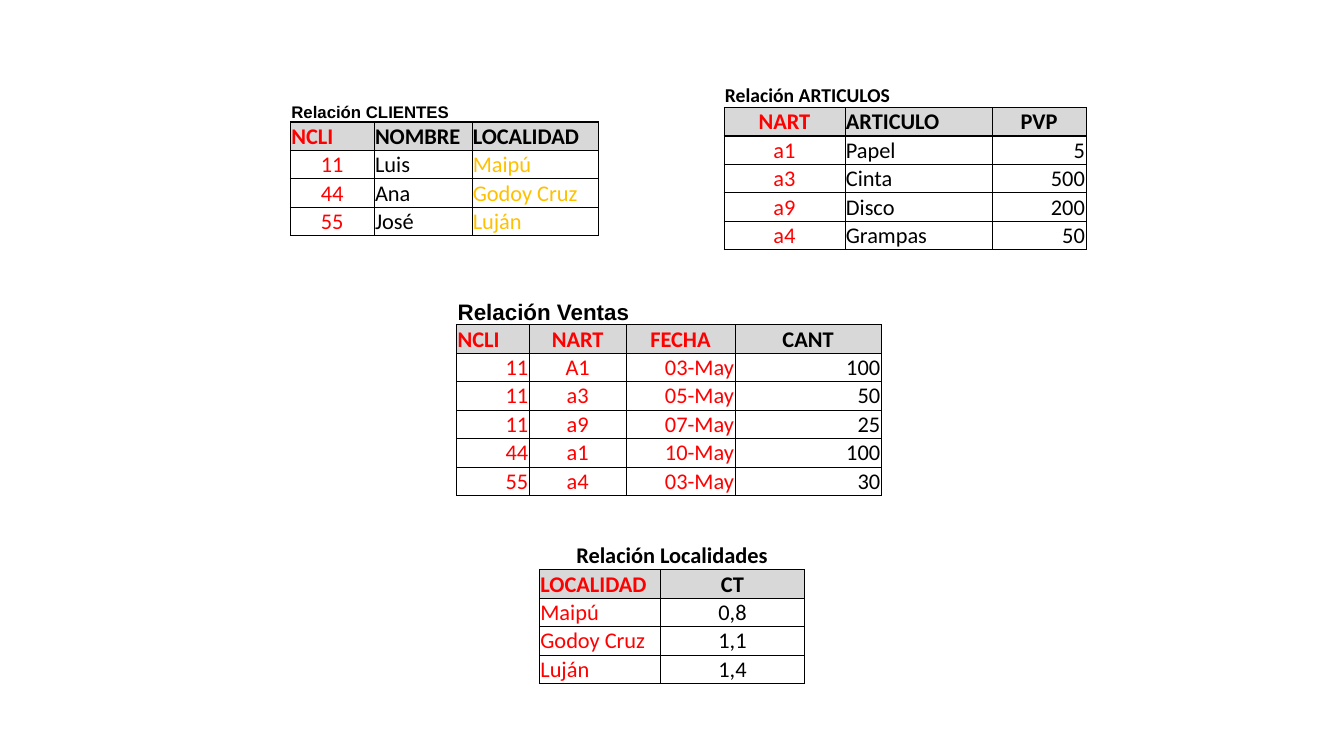
from dataclasses import dataclass

from lxml.etree import SubElement
from pptx import Presentation
from pptx.dml.color import RGBColor
from pptx.enum.text import MSO_ANCHOR, PP_ALIGN
from pptx.oxml.ns import qn
from pptx.util import Emu, Pt

PX = 9144  # 100 px to the inch
ROW_HEIGHT = 28
BLACK, RED, AMBER, GREY = "000000", "FF0000", "FFC000", "D8D8D8"
LEFT, CENTER, RIGHT = PP_ALIGN.LEFT, PP_ALIGN.CENTER, PP_ALIGN.RIGHT
THIN, THICK = 0.5, 1
PLAIN_STYLE = "{2D5ABB26-0587-4C30-8999-92F81FD0307C}"


@dataclass
class Column:
    name: str
    width: int
    values: list[str]
    align: PP_ALIGN = LEFT
    name_align: PP_ALIGN = LEFT
    color: str = BLACK
    name_color: str = BLACK


@dataclass
class Relation:
    caption: str
    left: int
    top: int
    columns: list[Column]
    caption_span: int
    caption_font: str = "Calibri"
    caption_size: int = 16
    caption_height: int = ROW_HEIGHT
    caption_align: PP_ALIGN = LEFT
    left_border: float = THIN


RELATIONS = [
    Relation("Relación CLIENTES", 288, 97, [
        Column("NCLI", 83, ["11", "44", "55"], CENTER, LEFT, RED, RED),
        Column("NOMBRE", 97, ["Luis", "Ana", "José"]),
        Column("LOCALIDAD", 125, ["Maipú", "Godoy Cruz", "Luján"], color=AMBER),
    ], 3, "Arial", 12, 24, left_border=THICK),
    Relation("Relación ARTICULOS", 718, 82, [
        Column("NART", 120, ["a1", "a3", "a9", "a4"], CENTER, CENTER, RED, RED),
        Column("ARTICULO", 146, ["Papel", "Cinta", "Disco", "Grampas"]),
        Column("PVP", 93, ["5", "500", "200", "50"], RIGHT, CENTER),
    ], 2, caption_size=14, caption_height=24),
    Relation("Relación Ventas", 453, 294, [
        Column("NCLI", 72, ["11", "11", "11", "44", "55"], RIGHT, LEFT, RED, RED),
        Column("NART", 96, ["A1", "a3", "a9", "a1", "a4"], CENTER, CENTER, RED, RED),
        Column("FECHA", 108, ["03-May", "05-May", "07-May", "10-May", "03-May"],
               RIGHT, CENTER, RED, RED),
        Column("CANT", 145, ["100", "50", "25", "100", "30"], RIGHT, CENTER),
    ], 3, "Arial", left_border=THICK),
    Relation("Relación Localidades", 535, 537, [
        Column("LOCALIDAD", 120, ["Maipú", "Godoy Cruz", "Luján"],
               color=RED, name_color=RED),
        Column("CT", 143, ["0,8", "1,1", "1,4"], CENTER, CENTER),
    ], 2, caption_align=CENTER),
]


def px(length: int) -> Emu:
    return Emu(length * PX)


def rgb(color: str) -> RGBColor:
    return RGBColor.from_string(color)


def write(cell, text: str, *, size: int = 16, font: str = "Calibri", color: str = BLACK,
          bold: bool = False, align: PP_ALIGN = LEFT) -> None:
    cell.vertical_anchor = MSO_ANCHOR.BOTTOM
    cell.margin_left = cell.margin_right = cell.margin_top = px(1)
    cell.margin_bottom = 0
    para = cell.text_frame.paragraphs[0]
    para.alignment = align
    if not text:  # keeps an empty cell from stretching its row
        SubElement(para._p, qn("a:endParaRPr"), sz=str(size * 100))
        return
    span = para.add_run()
    span.text = text
    span.font.size, span.font.name, span.font.bold = Pt(size), font, bold
    span.font.color.rgb = rgb(color)


def finish(cell, *, left: float = 0, right: float = 0, top: float = 0,
           bottom: float = 0, fill: str = "") -> None:
    """Draw the borders, then the fill, in the order the format needs."""
    properties = cell._tc.get_or_add_tcPr()
    for tag, width in (("lnL", left), ("lnR", right), ("lnT", top), ("lnB", bottom)):
        line = SubElement(properties, qn(f"a:{tag}"), w=str(int(Pt(width))))
        if width:
            paint = SubElement(line, qn("a:solidFill"))
            SubElement(paint, qn("a:srgbClr"), val=BLACK)
        else:
            SubElement(line, qn("a:noFill"))
    if fill:
        cell.fill.solid()
        cell.fill.fore_color.rgb = rgb(fill)
    else:
        cell.fill.background()


def draw_relation(page, relation: Relation) -> None:
    columns = relation.columns
    last = len(columns[0].values) + 1
    heights = [relation.caption_height] + [ROW_HEIGHT] * last
    table = page.shapes.add_table(
        last + 1, len(columns), px(relation.left), px(relation.top),
        px(sum(column.width for column in columns)), px(sum(heights))).table
    table.first_row = table.horz_banding = False
    table._tbl.tblPr.find(qn("a:tableStyleId")).text = PLAIN_STYLE
    for row, height in zip(table.rows, heights):
        row.height = px(height)

    for index, column in enumerate(columns):
        table.columns[index].width = px(column.width)
        side = THIN if index else relation.left_border
        # Caption row
        cell = table.cell(0, index)
        write(cell, "" if index else relation.caption, size=relation.caption_size,
              font=relation.caption_font, bold=True, align=relation.caption_align)
        finish(cell, bottom=THICK)
        # Column name
        cell = table.cell(1, index)
        write(cell, column.name, color=column.name_color, bold=True, align=column.name_align)
        finish(cell, left=side, right=THIN, top=THICK, bottom=THICK, fill=GREY)
        # Values
        for row, value in enumerate(column.values, 2):
            cell = table.cell(row, index)
            write(cell, value, color=column.color, align=column.align)
            finish(cell, left=side, right=THIN, top=THICK if row == 2 else THIN,
                   bottom=THICK if row == last else THIN)
    table.cell(0, 0).merge(table.cell(0, relation.caption_span - 1))


def main() -> None:
    deck = Presentation()
    deck.slide_width, deck.slide_height = px(1333), px(750)
    page = deck.slides.add_slide(deck.slide_layouts[6])
    for relation in RELATIONS:
        draw_relation(page, relation)
    deck.save("out.pptx")


if __name__ == "__main__":
    main()
